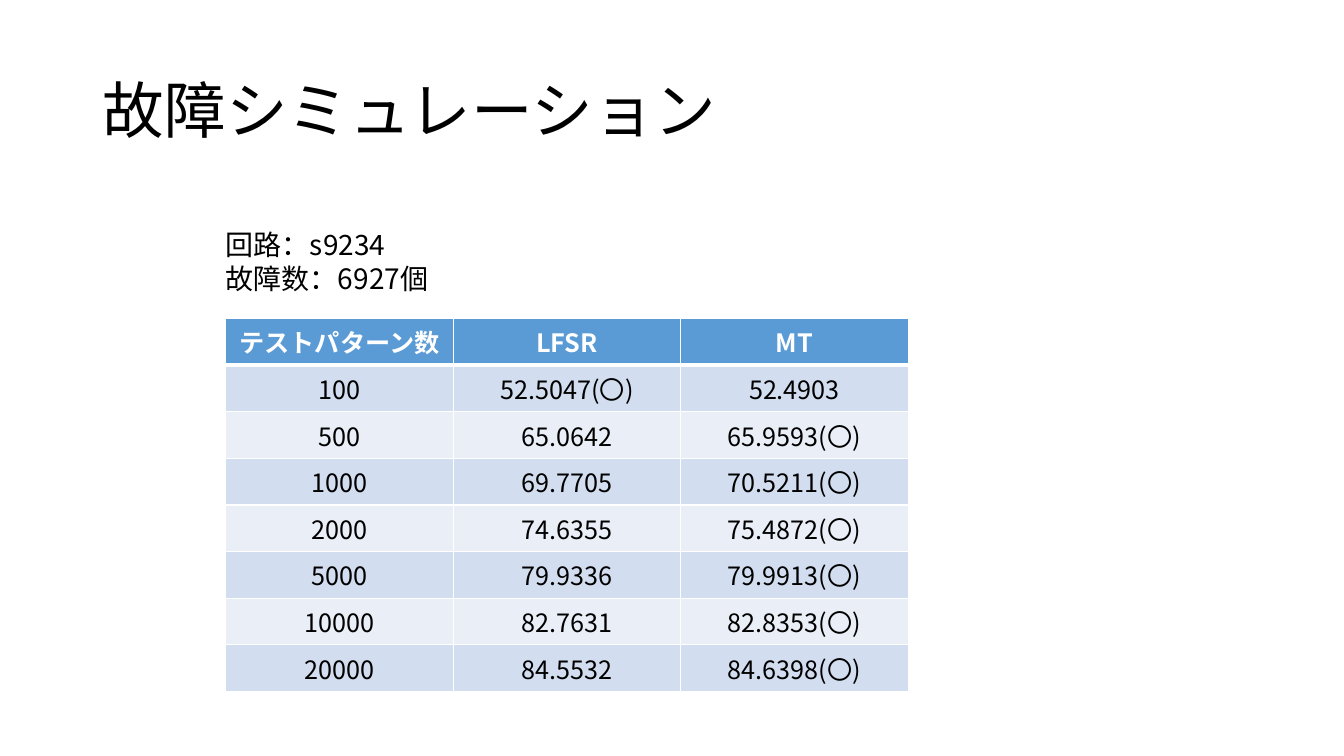
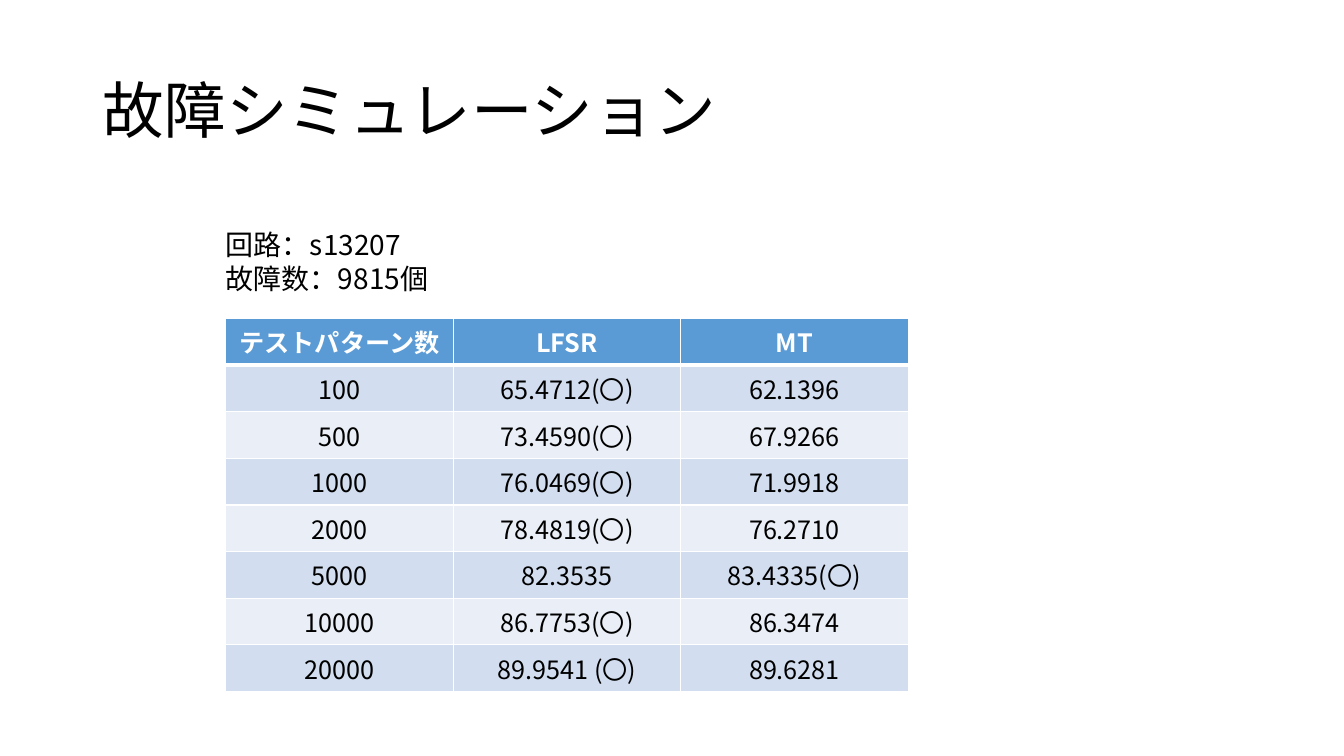
from dataclasses import dataclass

from lxml.etree import SubElement
from pptx import Presentation
from pptx.dml.color import RGBColor
from pptx.enum.text import MSO_ANCHOR as Anchor, MSO_AUTO_SIZE as AutoSize, PP_ALIGN as Align
from pptx.oxml.ns import qn
from pptx.util import Cm, Pt


@dataclass(frozen=True)
class Theme:
    """Colours, font and type sizes shared by the slides."""
    font: str = "Noto Sans CJK JP"
    ink: str = "000000"
    paper: str = "FFFFFF"
    header: str = "5B9BD5"
    bands: tuple = ("D2DEEF", "EAEFF7")
    title_size: int = 44
    note_size: int = 20
    cell_size: int = 18
    grid_line: int = 1
    header_line: int = 3


THEME = Theme()
TITLE = "故障シミュレーション"
HEADINGS = ("テストパターン数", "LFSR", "MT")
PATTERN_COUNTS = (100, 500, 1000, 2000, 5000, 10000, 20000)
CIRCUITS = (
    ("s9234", 6927,
     ("52.5047(〇)", "65.0642", "69.7705", "74.6355",
      "79.9336", "82.7631", "84.5532"),
     ("52.4903", "65.9593(〇)", "70.5211(〇)", "75.4872(〇)",
      "79.9913(〇)", "82.8353(〇)", "84.6398(〇)")),
    ("s13207", 9815,
     ("65.4712(〇)", "73.4590(〇)", "76.0469(〇)", "78.4819(〇)",
      "82.3535", "86.7753(〇)", "89.9541 (〇)"),
     ("62.1396", "67.9266", "71.9918", "76.2710",
      "83.4335(〇)", "86.3474", "89.6281")),
)


def style_paragraph(para, size, color=THEME.ink, bold=False, align=Align.LEFT):
    """Set the font, for Latin and East Asian text, and the alignment."""
    para.alignment = align
    font = para.font
    font.name, font.size, font.bold = THEME.font, Pt(size), bold
    font.color.rgb = RGBColor.from_string(color)
    defaults = para._p.pPr.find(qn("a:defRPr"))
    SubElement(defaults, qn("a:ea"), typeface=THEME.font)


def add_title(page, text):
    """Place and format the title placeholder."""
    title = page.shapes.title
    title.left, title.top = Cm(2.34), Cm(1.02)
    title.width, title.height = Cm(29.21), Cm(3.68)
    frame = title.text_frame
    frame.text = text
    frame.vertical_anchor = Anchor.MIDDLE
    para = frame.paragraphs[0]
    style_paragraph(para, THEME.title_size)
    para.line_spacing = 0.9


def add_note(page, lines):
    """Add the text box that describes the circuit."""
    box = page.shapes.add_textbox(Cm(5.44), Cm(5.61), Cm(20.22), Cm(1.96))
    frame = box.text_frame
    frame.word_wrap = True
    frame.auto_size = AutoSize.SHAPE_TO_FIT_TEXT
    frame.text = "\n".join(lines)
    for para in frame.paragraphs:
        style_paragraph(para, THEME.note_size)


def set_borders(cell, **widths):
    """Draw cell borders in the paper colour, thin unless a width is given."""
    properties = cell._tc.get_or_add_tcPr()
    for side in "LRTB":
        width = Pt(widths.get(side, THEME.grid_line))
        line = SubElement(properties, qn(f"a:ln{side}"), w=str(width))
        fill = SubElement(line, qn("a:solidFill"))
        SubElement(fill, qn("a:srgbClr"), val=THEME.paper)


def format_cell(cell, text, row):
    """Write one cell and give it the look of its row."""
    is_header = row == 0
    cell.text = text
    style_paragraph(cell.text_frame.paragraphs[0], THEME.cell_size,
                    THEME.paper if is_header else THEME.ink,
                    is_header, Align.CENTER)
    edges = {0: {"B": THEME.header_line}, 1: {"T": THEME.header_line}}
    set_borders(cell, **edges.get(row, {}))
    color = THEME.header if is_header else THEME.bands[(row - 1) % 2]
    cell.fill.solid()
    cell.fill.fore_color.rgb = RGBColor.from_string(color)


def add_coverage_table(page, rows):
    """Add the coverage table with equal columns and rows."""
    frame = page.shapes.add_table(len(rows), len(rows[0]), Cm(5.69), Cm(8.03),
                                  Cm(17.2), Cm(1.03) * len(rows))
    table = frame.table
    table.horz_banding = False
    for row, texts in enumerate(rows):
        for column, text in enumerate(texts):
            format_cell(table.cell(row, column), text, row)


def add_result_page(deck, circuit, faults, lfsr, mt):
    """Add the slide with the results for one circuit."""
    page = deck.slides.add_slide(deck.slide_layouts.get_by_name("Title Only"))
    add_title(page, TITLE)
    counts = map(str, PATTERN_COUNTS)
    add_coverage_table(page, [HEADINGS, *zip(counts, lfsr, mt)])
    add_note(page, (f"回路：{circuit}", f"故障数：{faults}個"))


def main():
    """Build and save the deck."""
    deck = Presentation()
    deck.slide_width, deck.slide_height = Cm(33.87), Cm(19.05)
    for result in CIRCUITS:
        add_result_page(deck, *result)
    deck.save("out.pptx")


main()
